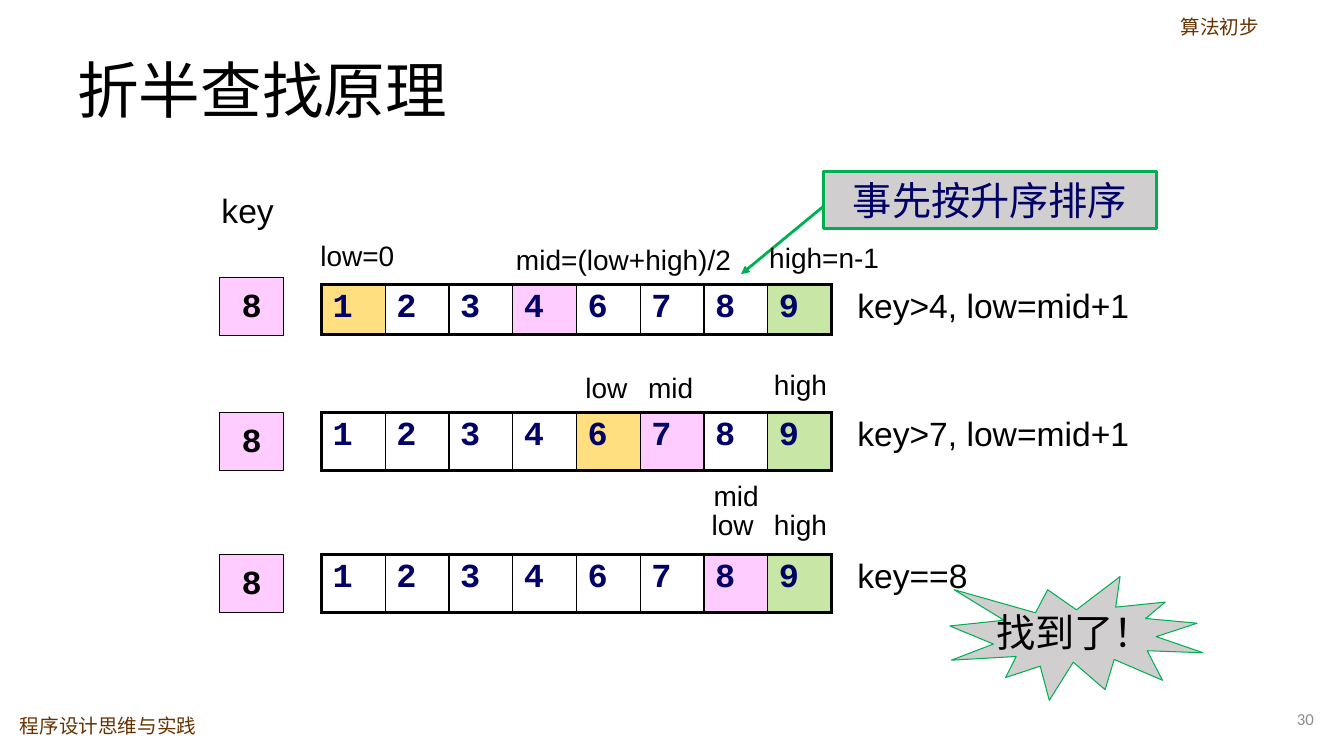
from lxml import etree
from pptx import Presentation
from pptx.dml.color import RGBColor
from pptx.enum import shapes, text
from pptx.oxml import ns
from pptx.util import Cm, Pt

BLACK = RGBColor(0x00, 0x00, 0x00)
BROWN = RGBColor(0x66, 0x33, 0x00)
NAVY = RGBColor(0x00, 0x00, 0x66)
GREEN = RGBColor(0x00, 0xB0, 0x50)
GREY = RGBColor(0xD0, 0xCE, 0xCE)
PAGE_GREY = RGBColor(0x8C, 0x8C, 0x8C)
PINK = RGBColor(0xFF, 0xCC, 0xFF)
AMBER = RGBColor(0xFF, 0xC0, 0x00)
LIME = RGBColor(0x92, 0xD0, 0x50)

CJK = "Noto Sans CJK SC"
DIGITS = "12346789"
TABLE_LEFT, TABLE_WIDTH = 8.1, 12.85
LOW, MID, HIGH = AMBER, PINK, LIME
TRANSLUCENT = (LOW, HIGH)

# Each step: table top and height, key box top, marked columns, note,
# and labels as (wording, left and top relative to the table, width)
STEPS = [
    dict(top=7.16, height=1.27, key_top=6.99, marks={0: LOW, 3: MID, 7: HIGH},
         note="key>4, low=mid+1",
         labels=[("low=0", -0.28, -1.17, 2.92),
                 ("mid=(low+high)/2", 4.65, -1.09, 5.97),
                 ("high=n-1", 11.03, -1.12, 3.71)]),
    dict(top=10.39, height=1.47, key_top=10.39, marks={4: LOW, 5: MID, 7: HIGH},
         note="key>7, low=mid+1",
         labels=[("low", 6.4, -1.09, 2.13), ("mid", 7.98, -1.09, 2.13),
                 ("high", 11.15, -1.17, 2.13)]),
    dict(top=13.97, height=1.47, key_top=13.97, marks={6: MID, 7: HIGH},
         note="key==8",
         labels=[("low", 9.58, -1.22, 2.13), ("high", 11.15, -1.22, 2.13),
                 ("mid", 9.63, -1.93, 2.13)]),
]


def sub(parent, tag, **attributes):
    return etree.SubElement(parent, ns.qn(tag), attributes)


def write(frame, wording, size, font="Arial", color=BLACK, bold=False,
          paragraph_format=None):
    paragraph = frame.paragraphs[0]
    for name, value in (paragraph_format or {"line_spacing": 0.9}).items():
        setattr(paragraph, name, value)
    run = paragraph.add_run()
    run.text = wording
    for name, value in dict(size=Pt(size), name=font, bold=bold).items():
        setattr(run.font, name, value)
    run.font.color.rgb = color
    if not wording.isascii():
        sub(run.font._element, "a:ea", typeface=CJK)


def add_label(slide, box, wording, size, anchor=text.MSO_ANCHOR.TOP, **style):
    frame = slide.shapes.add_textbox(*map(Cm, box)).text_frame
    frame.word_wrap = True
    frame.vertical_anchor = anchor
    write(frame, wording, size, **style)


def add_figure(slide, kind, box, fill, line, line_width):
    figure = slide.shapes.add_shape(kind, *map(Cm, box))
    figure.shadow.inherit = False
    figure.fill.solid()
    figure.fill.fore_color.rgb = fill
    figure.line.color.rgb = line
    figure.line.width = Pt(line_width)
    return figure


def add_centred(slide, kind, box, fill, line, wording, size, font, bold=False):
    frame = add_figure(slide, kind, box, fill, line, 0.75).text_frame
    frame.word_wrap = False
    frame.vertical_anchor = text.MSO_ANCHOR.MIDDLE
    write(frame, wording, size, font, bold=bold, paragraph_format=dict(
        alignment=text.PP_ALIGN.CENTER, line_spacing=0.9, space_after=Pt(5.9)))


def add_border(cell, side, width):
    line = sub(cell._tc.get_or_add_tcPr(), "a:ln" + side, w=str(Pt(width)))
    sub(sub(line, "a:solidFill"), "a:srgbClr", val=str(BLACK))


def draw_array(slide, box, marks):
    table = slide.shapes.add_table(1, len(DIGITS), *map(Cm, box)).table
    table.first_row = table.horz_banding = False
    table.rows[0].height = Cm(box[3])
    last = len(DIGITS) - 1
    for index, digit in enumerate(DIGITS):
        table.columns[index].width = Cm(box[2] / len(DIGITS))
        cell = table.cell(0, index)
        for name, value in dict(margin_left=Cm(0.28), margin_right=Cm(0.28),
                                margin_top=Cm(0.13), margin_bottom=Cm(0.13)).items():
            setattr(cell, name, value)
        write(cell.text_frame, digit, 24, "Courier New", NAVY, True,
              {"line_spacing": 0.95})
        add_border(cell, "L", 2.25 if index == 0 else 1)
        add_border(cell, "R", 2.25 if index == last else 1)
        add_border(cell, "T", 2.25)
        add_border(cell, "B", 2.25)
        if index not in marks:
            cell.fill.background()
            continue
        cell.fill.solid()
        cell.fill.fore_color.rgb = marks[index]
        if marks[index] in TRANSLUCENT:
            color = cell._tc.tcPr.find(ns.qn("a:solidFill"))[0]
            sub(color, "a:alpha", val="50000")


def draw_step(slide, left, top, height, key_top, marks, note, labels):
    draw_array(slide, (left, top, TABLE_WIDTH, height), marks)
    add_centred(slide, shapes.MSO_SHAPE.RECTANGLE, (left - 2.56, key_top, 1.6, 1.47),
                PINK, BLACK, "8", 24, "Courier New", True)
    add_label(slide, (left + 13.25, top, 8.38, 1.17), note, 24)
    for wording, dx, dy, width in labels:
        add_label(slide, (left + dx, top + dy, width, 1.02), wording, 20)


def draw_sorted_hint(slide, left, top, width, height):
    # Arrow from the hint down to the array
    arrow = slide.shapes.add_connector(
        shapes.MSO_CONNECTOR.STRAIGHT, Cm(left + 0.08), Cm(top + 0.81),
        Cm(left - 2.08), Cm(top + 2.59))
    arrow.line.color.rgb = GREEN
    arrow.line.width = Pt(2)
    sub(arrow.line._get_or_add_ln(), "a:tailEnd", type="triangle")
    sub(arrow._element.spPr, "a:effectLst")
    # Hint box
    hint = add_figure(slide, shapes.MSO_SHAPE.RECTANGLE, (left, top, width, height),
                      GREY, GREEN, 2).text_frame
    hint.word_wrap = True
    hint.vertical_anchor = text.MSO_ANCHOR.TOP
    hint.auto_size = text.MSO_AUTO_SIZE.SHAPE_TO_FIT_TEXT
    write(hint, "事先按升序排序", 28, CJK, NAVY, paragraph_format=dict(
        alignment=text.PP_ALIGN.CENTER, space_after=Pt(6)))


def draw_frame(slide, left, top, width, height):
    # Course, chapter, title and page number
    add_label(slide, (left + 0.25, top + height - 1.12, 6.35, 0.81),
              "程序设计思维与实践", 14, color=BROWN)
    add_label(slide, (left + width - 4.37, top + 0.33, 4.19, 0.99),
              "算法初步", 14, font=CJK, color=BROWN)
    add_label(slide, (left + 1.7, top + 0.76, width - 3.4, 3.18), "折半查找原理", 44,
              text.MSO_ANCHOR.MIDDLE, font="Calibri")
    add_label(slide, (left + width - 3.89, top + height - 1.32, 3.38, 0.79), "30", 12,
              text.MSO_ANCHOR.MIDDLE, font="Calibri", color=PAGE_GREY,
              paragraph_format={"alignment": text.PP_ALIGN.RIGHT})


def main():
    deck = Presentation()
    deck.slide_width, deck.slide_height = Cm(33.86), Cm(19.05)
    slide = deck.slides.add_slide(deck.slide_layouts[6])

    draw_frame(slide, 0, 0, 33.86, 19.05)
    draw_sorted_hint(slide, 20.75, 4.32, 8.38, 1.45)

    # Search steps
    add_label(slide, (5.33, 4.78, 3.35, 1.19), "key", 24)
    for step in STEPS:
        draw_step(slide, TABLE_LEFT, **step)

    # Result
    add_centred(slide, shapes.MSO_SHAPE.EXPLOSION1, (23.93, 14.53, 6.38, 3.12),
                GREY, GREEN, "找到了！", 28, CJK)
    deck.save("out.pptx")


if __name__ == "__main__":
    main()
